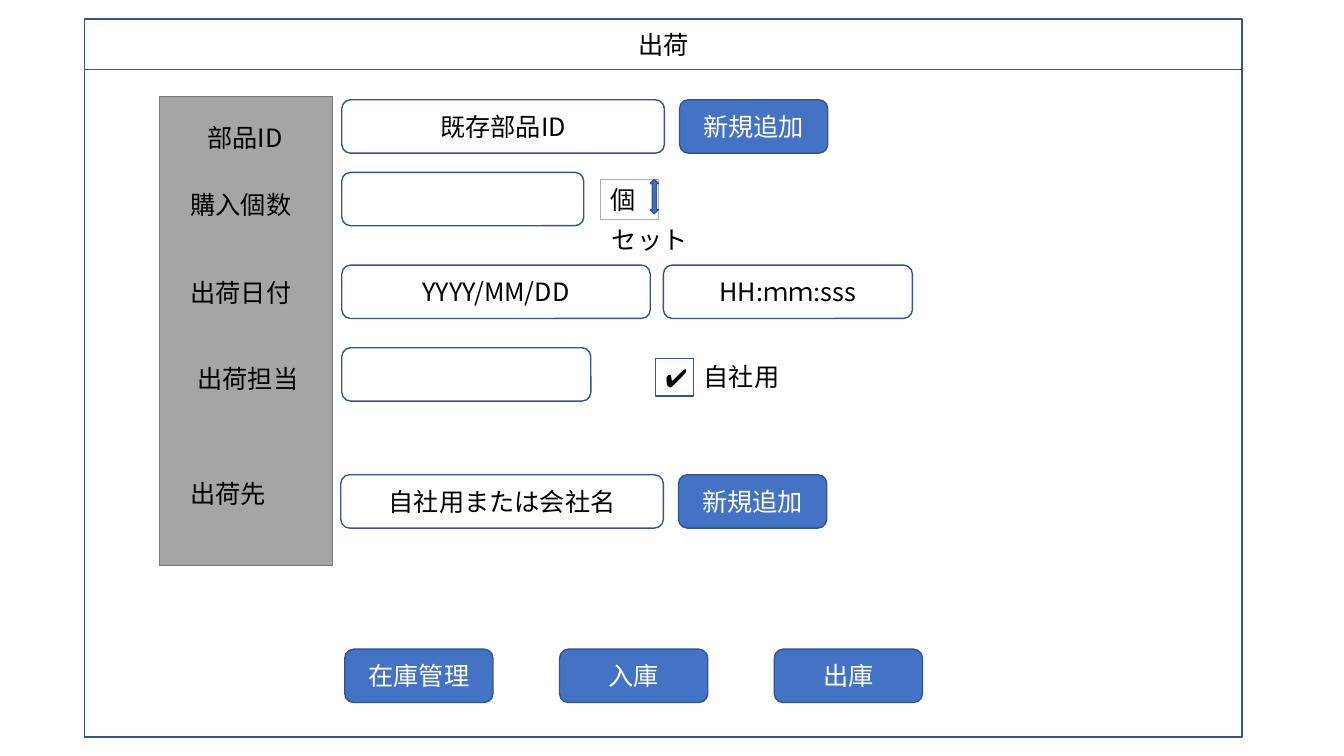
from pptx import Presentation
from pptx import util as u
from pptx.dml.color import RGBColor
from pptx.enum import shapes, text
from pptx.oxml.ns import qn
from lxml import etree

PX = 9144
FONT = "Noto Sans CJK JP"
COLOURS = {"blue": "4472C4", "edge": "325491", "grey": "A5A5A5", "grey_edge": "7A7A7A",
           "pale_edge": "AFABAB", "white": "FFFFFF", "black": "000000"}
RECT = shapes.MSO_SHAPE.RECTANGLE
ROUNDED = shapes.MSO_SHAPE.FLOWCHART_ALTERNATE_PROCESS
ARROW = shapes.MSO_SHAPE.UP_DOWN_ARROW
CENTRED = {"word_wrap": True, "vertical_anchor": text.MSO_ANCHOR.MIDDLE,
           "auto_size": text.MSO_AUTO_SIZE.NONE}
LABEL = {"word_wrap": True, "vertical_anchor": text.MSO_ANCHOR.TOP, "margin_right": 0,
         "auto_size": text.MSO_AUTO_SIZE.SHAPE_TO_FIT_TEXT}
ROW_HEIGHT = 53
LABEL_HEIGHT = 40
BUTTON_WIDTH = 147


def colour(name):
    return RGBColor.from_string(COLOURS[name])


def apply(target, formats):
    for key, value in formats.items():
        setattr(target, key, value)


def emu(*lengths):
    return [u.Emu(length * PX) for length in lengths]


def write(shape, words, ink="black", frame=CENTRED, align=text.PP_ALIGN.CENTER):
    apply(shape.text_frame, frame)
    paragraph = shape.text_frame.paragraphs[0]
    apply(paragraph, {"alignment": align, "line_spacing": 1.0})
    run = paragraph.add_run()
    run.text = words
    apply(run.font, {"name": FONT, "size": u.Pt(18)})
    run.font.color.rgb = colour(ink)
    etree.SubElement(run.font._element, qn("a:ea"), typeface=FONT)


def outline(shape, edge="edge", width=1):
    shape.line.color.rgb = colour(edge)
    shape.line.width = u.Pt(width)


def panel(slide, kind, box, fill=None, edge="edge", width=1):
    shape = slide.shapes.add_shape(kind, *emu(*box))
    shape.shadow.inherit = False
    if fill:
        shape.fill.solid()
        shape.fill.fore_color.rgb = colour(fill)
    else:
        shape.fill.background()
    outline(shape, edge, width)
    return shape


def label(slide, words, left, top, width):
    caption = slide.shapes.add_textbox(*emu(left, top, width, LABEL_HEIGHT))
    write(caption, words, frame=LABEL, align=text.PP_ALIGN.LEFT)


def field(slide, words, left, top, width):
    entry = panel(slide, ROUNDED, (left, top, width, ROW_HEIGHT))
    if words:
        write(entry, words)


def button(slide, words, left, top):
    action = panel(slide, ROUNDED, (left, top, BUTTON_WIDTH, ROW_HEIGHT), "blue")
    write(action, words, "white")


def draw_window(slide, left, top, width, height):
    bar_height = 50
    heading = slide.shapes.title
    apply(heading, dict(zip(("left", "top", "width", "height"),
                            emu(left, top, width, bar_height))))
    outline(heading)
    write(heading, "出荷")
    panel(slide, RECT, (left, top + bar_height, width, height - bar_height))


def draw_labels(slide, left, top, width, height):
    panel(slide, RECT, (left, top, width, height), "grey", "grey_edge")
    for words, x, y, label_width in (("部品ID", 38, 20, 116), ("購入個数", 21, 87, 149),
                                     ("出荷日付", 21, 174, 149), ("出荷担当", 28, 260, 149),
                                     ("出荷先", 21, 374, 149)):
        label(slide, words, left + x, top + y, label_width)


def draw_unit_picker(slide, left, top, width):
    unit = panel(slide, RECT, (left, top, width, LABEL_HEIGHT), None, "pale_edge", 0.75)
    write(unit, "個", frame=LABEL, align=text.PP_ALIGN.LEFT)
    arrow_width = 8
    panel(slide, ARROW, (left + width - arrow_width, top, arrow_width, 34), "blue")
    label(slide, "セット", left + 1, top + LABEL_HEIGHT, 95)


def draw_own_use_check(slide, left, top, width):
    label(slide, "自社用", left + width, top - 2, 101)
    write(panel(slide, RECT, (left, top, width, 37), "white"), "✔")


def draw_fields(slide, left, top):
    for words, x, y, width in (("既存部品ID", 0, 0, 320), ("", 0, 72, 240),
                               ("YYYY/MM/DD", 0, 164, 306), ("HH:ｍｍ:sss", 319, 164, 247),
                               ("", 0, 246, 247), ("自社用または会社名", -1, 372, 320)):
        field(slide, words, left + x, top + y, width)
    for x, y in ((335, 0), (334, 372)):
        button(slide, "新規追加", left + x, top + y)
    draw_unit_picker(slide, left + 257, top + 79, 57)
    draw_own_use_check(slide, left + 311, top + 257, 38)


def draw_actions(slide, left, top, pitch):
    for index, words in enumerate(("在庫管理", "入庫", "出庫")):
        button(slide, words, left + index * pitch, top)


def main():
    deck = Presentation()
    deck.slide_width, deck.slide_height = emu(1333, 750)
    slide = deck.slides.add_slide(deck.slide_layouts[5])
    draw_window(slide, 84, 19, 1148, 712)
    draw_labels(slide, 158, 96, 172, 465)
    draw_fields(slide, 339, 99)
    draw_actions(slide, 342, 644, 213)
    deck.save("out.pptx")


if __name__ == "__main__":
    main()
